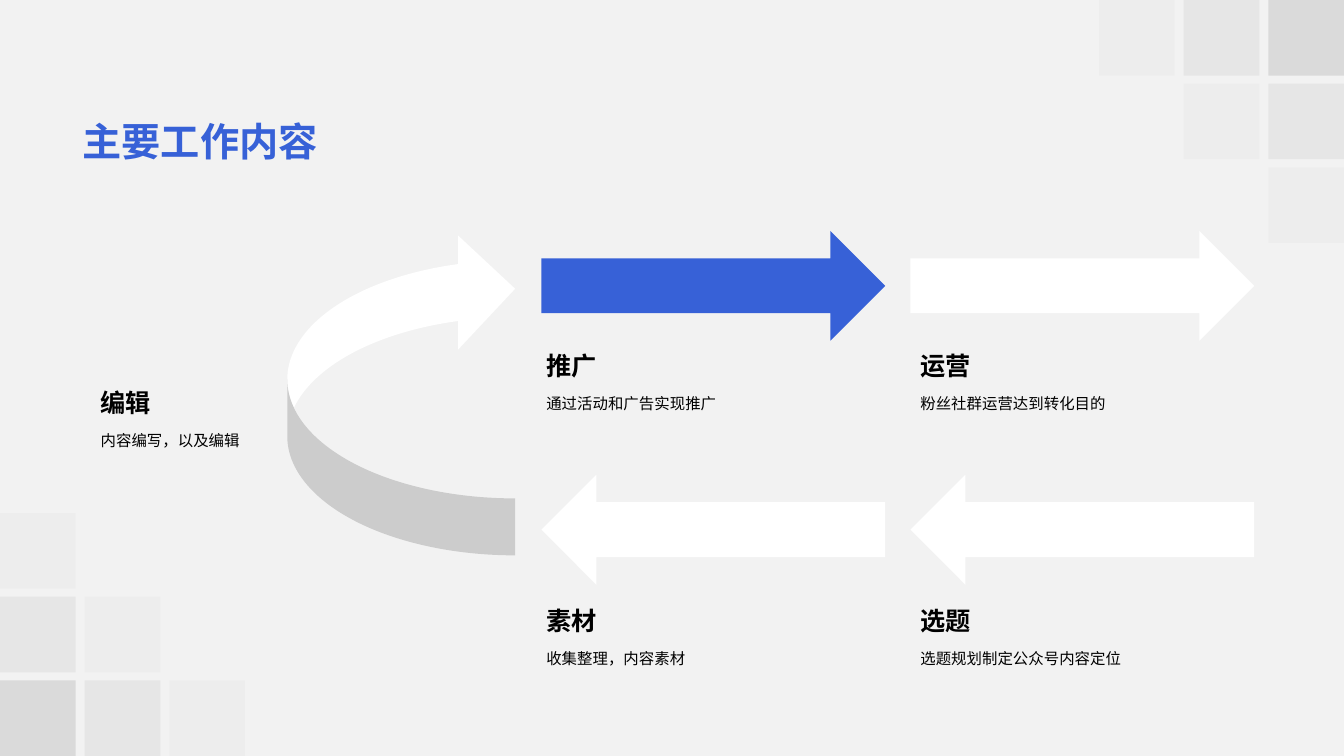
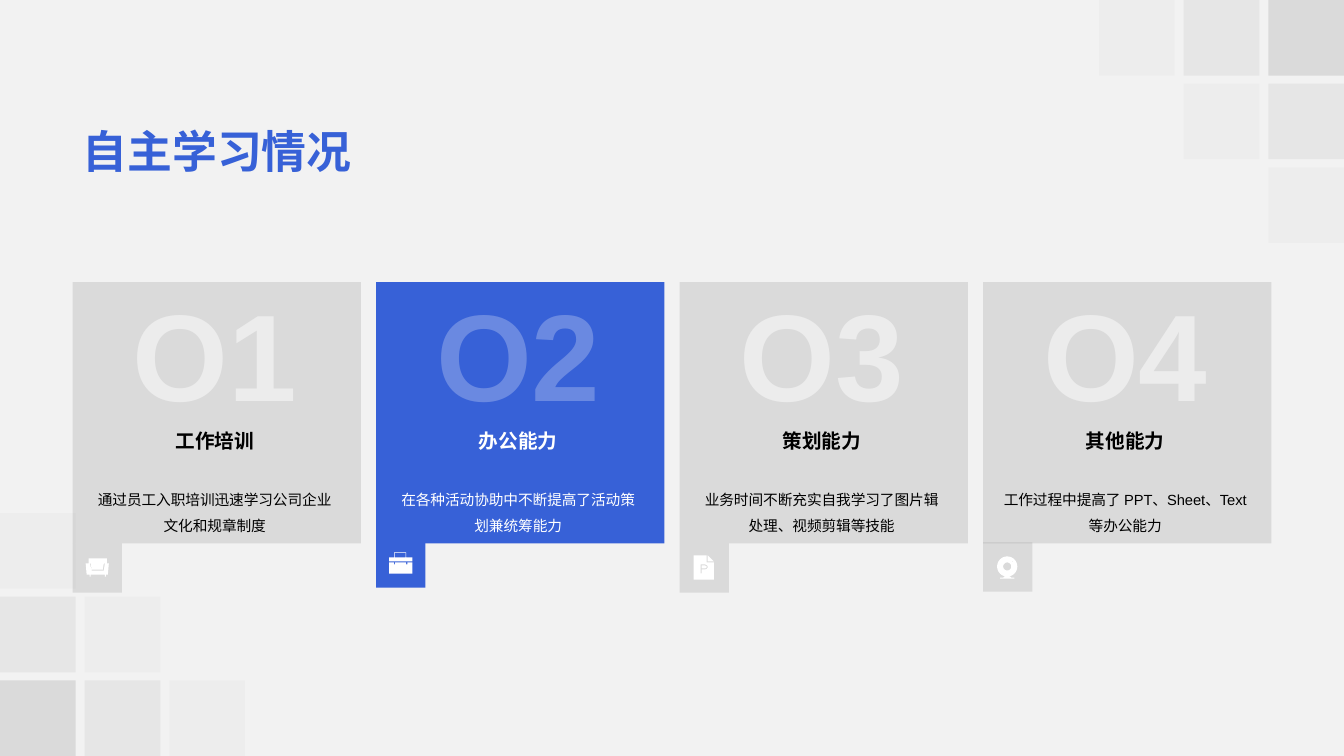
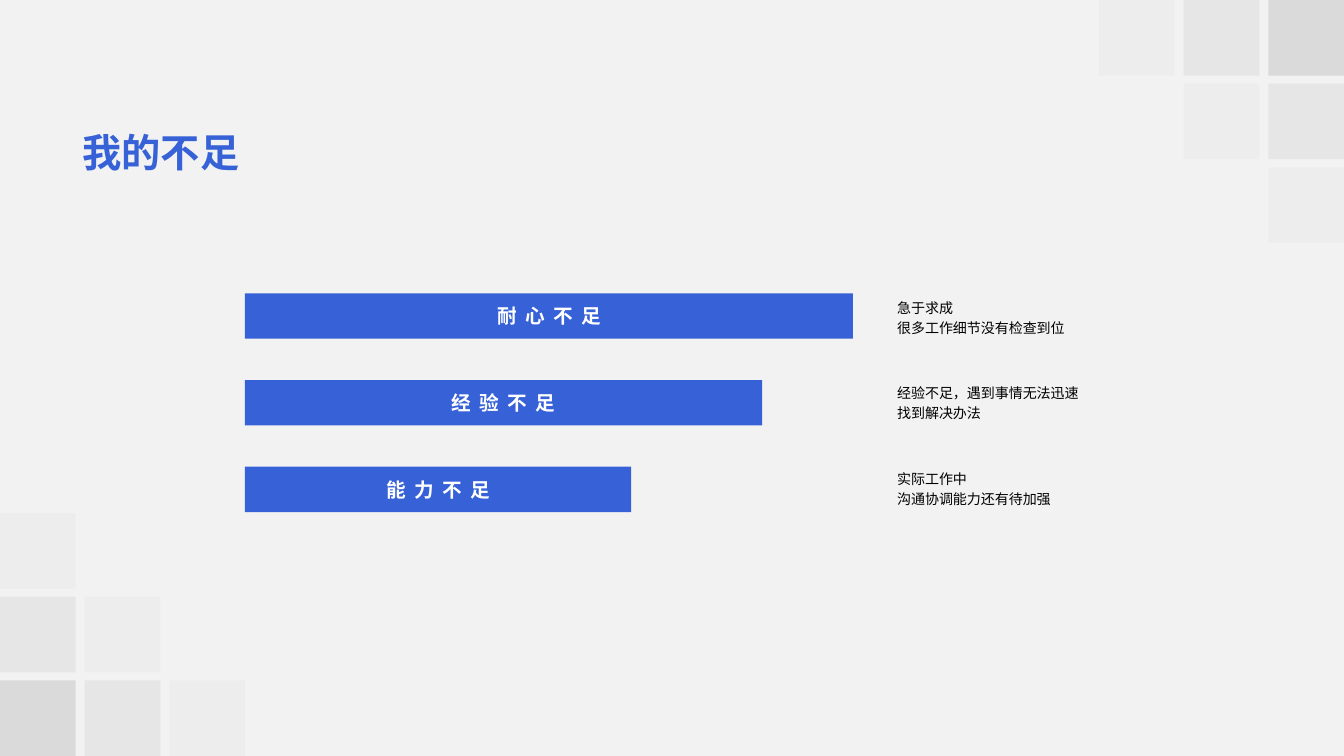
import math

from lxml import etree
from pptx import Presentation
from pptx.dml.color import RGBColor
from pptx.enum.shapes import MSO_SHAPE
from pptx.enum.text import MSO_ANCHOR, MSO_AUTO_SIZE, PP_ALIGN
from pptx.oxml.ns import qn
from pptx.util import Inches, Pt

RECTANGLE = MSO_SHAPE.RECTANGLE
RIGHT_ARROW, LEFT_ARROW = MSO_SHAPE.RIGHT_ARROW, MSO_SHAPE.LEFT_ARROW
CURVED_ARROW = MSO_SHAPE.CURVED_LEFT_ARROW
TOP, MIDDLE, BOTTOM = MSO_ANCHOR.TOP, MSO_ANCHOR.MIDDLE, MSO_ANCHOR.BOTTOM
LEFT, CENTER = PP_ALIGN.LEFT, PP_ALIGN.CENTER

FONT = "Arial"
COLORS = {"background": "F2F2F2", "blue": "3761D7", "white": "FFFFFF",
          "black": "000000", "shade": "0D0D0D"}


def circle(center_x, center_y, radius, points=40):
    angles = [2 * math.pi * index / points for index in range(points)]
    return [(center_x + radius * math.cos(angle), center_y + radius * math.sin(angle))
            for angle in angles]


# Icon outlines, in hundredths of an inch from the corner of their tab.
SOFA = [
    [(17, 20), (19, 27), (31, 27), (32, 20), (36, 20), (35, 31), (33, 31), (33, 33),
     (32, 33), (32, 31), (18, 31), (18, 33), (17, 33), (17, 31), (14, 31), (13, 20)],
    [(34, 15), (34, 20), (31, 20), (30, 26), (19, 26), (18, 20), (16, 20), (16, 15)],
]
BRIEFCASE = [
    [(18, 24), (18, 26), (19, 26), (19, 24), (30, 24), (30, 26), (31, 26), (31, 24),
     (36, 24), (36, 35), (13, 35), (13, 24)],
    [(30, 14), (30, 19), (36, 19), (36, 23), (13, 23), (13, 19), (18, 19), (18, 14)],
    [(29.5, 14.5), (18.5, 14.5), (18.5, 19), (29.5, 19)],
]
DOCUMENT = [
    [(27, 12), (27, 19), (34, 19), (34, 36), (14, 36), (14, 12)],
    [(25, 21), (21, 21), (21, 30), (22, 30), (22, 26), (25, 26), (27, 25.5),
     (28, 24), (28, 23), (27, 21.5)],
    [(25, 22), (26.5, 22.5), (27, 23.5), (26.5, 24.5), (25, 25), (22, 25), (22, 22)],
    [(34, 18), (28, 18), (28, 12)],
]
WEBCAM = [
    circle(24, 24, 10), circle(24, 24, 4), circle(29, 19, 0.5),
    [(21, 34), (27, 34), (28, 35), (31, 35), (31, 36), (17, 36), (17, 35), (20, 35)],
]

# Title, text size, top, height
TITLES = {
    "work": ("主要工作内容", 28, 1.11, 0.57),
    "study": ("自主学习情况", 32, 1.17, 0.64),
    "shortcomings": ("我的不足", 28, 1.24, 0.53),
}
# Arrow, colour, heading, description; each row has its arrow top and label top
WORK_COLUMNS = [(5.37, 5.32), (9.03, 9.03)]  # arrow left, label left
WORK_ROWS = [
    (RIGHT_ARROW, 2.29, 3.41, [("blue", "推广", "通过活动和广告实现推广"),
                               ("white", "运营", "粉丝社群运营达到转化目的")]),
    (LEFT_ARROW, 4.71, 5.94, [("white", "素材", "收集整理，内容素材"),
                              ("white", "选题", "选题规划制定公众号内容定位")]),
]
# Heading, description, icon, tab top, highlighted
STUDY_CARDS = [
    ("工作培训", "通过员工入职培训迅速学习公司企业文化和规章制度", SOFA, 5.39, False),
    ("办公能力", "在各种活动协助中不断提高了活动策划兼统筹能力", BRIEFCASE, 5.34, True),
    ("策划能力", "业务时间不断充实自我学习了图片辑处理、视频剪辑等技能", DOCUMENT, 5.39, False),
    ("其他能力", "工作过程中提高了 PPT、Sheet、Text 等办公能力", WEBCAM, 5.38, False),
]
# Name, bar width, explanation
SHORTCOMINGS = [
    ("耐心不足", 6.03, ["急于求成", "很多工作细节没有检查到位"]),
    ("经验不足", 5.13, ["经验不足，遇到事情无法迅速", "找到解决办法"]),
    ("能力不足", 3.83, ["实际工作中", "沟通协调能力还有待加强"]),
]


def set_alpha(element, percent):
    color = element.find(".//" + qn("a:srgbClr"))
    etree.SubElement(color, qn("a:alpha")).set("val", str(percent * 1000))


def paint(shape, color, alpha=None):
    """Give the shape a flat fill, with no outline and no shadow."""
    shape.shadow.inherit = False
    shape.fill.solid()
    shape.fill.fore_color.rgb = RGBColor.from_string(COLORS[color])
    shape.line.fill.background()
    if alpha:
        set_alpha(shape.element.spPr, alpha)


def add_shape(slide, kind, left, top, width, height, color, alpha=None):
    shape = slide.shapes.add_shape(kind, Inches(left), Inches(top),
                                   Inches(width), Inches(height))
    paint(shape, color, alpha)
    return shape


def write(shape, lines, size, color="black", bold=False, align=LEFT, anchor=TOP,
          spacing=1.0, alpha=None, tracking=None):
    frame = shape.text_frame
    frame.word_wrap = True
    frame.auto_size = MSO_AUTO_SIZE.NONE
    frame.vertical_anchor = anchor
    frame.text = "\n".join(lines)
    for paragraph in frame.paragraphs:
        paragraph.alignment = align
        paragraph.line_spacing = spacing
        font = paragraph.font
        font.name, font.size, font.bold = FONT, Pt(size), bold
        font.color.rgb = RGBColor.from_string(COLORS[color])
        if alpha:
            set_alpha(paragraph._p, alpha)
        if tracking:
            defaults = paragraph._p.find(".//" + qn("a:defRPr"))
            defaults.set("spc", str(tracking * 100))


def add_text(slide, left, top, width, height, lines, size, **style):
    box = slide.shapes.add_textbox(Inches(left), Inches(top), Inches(width), Inches(height))
    write(box, lines, size, **style)
    return box


def add_icon(slide, contours, left, top):
    def place(point):
        return Inches(left + point[0] / 100), Inches(top + point[1] / 100)

    builder = None
    for contour in contours:
        start, *others = map(place, contour)
        if builder is None:
            builder = slide.shapes.build_freeform(*start)
        else:
            builder.move_to(*start)
        builder.add_line_segments(others, close=True)
    paint(builder.convert_to_shape(), "white")


def add_corner_squares(slide, layout):
    """Draw the stepped squares in two corners and move them to the layout."""
    size, column_step, row_step = 0.75, 0.84, 0.83
    alphas = (10, 5, 2)
    for column in range(3):
        for row in range(3 - column):
            x, y = column * column_step, row * row_step
            for left, top in ((12.58 - x, y), (x, 6.75 - y)):
                square = add_shape(slide, RECTANGLE, left, top, size, size,
                                   "shade", alphas[column + row])
                layout.shapes.element.append(square.element)


def add_slide(presentation, layout, key):
    slide = presentation.slides.add_slide(layout)
    text, size, top, height = TITLES[key]
    title = slide.shapes.title
    title.left, title.top = Inches(0.72), Inches(top)
    title.width, title.height = Inches(11.88), Inches(height)
    write(title, [text], size, "blue", bold=True, anchor=MIDDLE)
    return slide


def add_label(slide, left, top, width, heading, description):
    add_text(slide, left, top, width, 0.41, [heading], 18, bold=True, anchor=BOTTOM)
    add_text(slide, left, top + 0.41, width, 0.3, [description], 11, spacing=1.2)


def fill_work(slide):
    turn = add_shape(slide, CURVED_ARROW, 2.85, 2.3, 2.26, 3.21, "white")
    for flip in ("flipH", "flipV"):
        turn.element.spPr.xfrm.set(flip, "1")
    add_label(slide, 0.9, 3.78, 1.95, "编辑", "内容编写，以及编辑")
    for kind, arrow_top, label_top, steps in WORK_ROWS:
        for (arrow_left, label_left), (color, heading, description) in zip(WORK_COLUMNS, steps):
            add_shape(slide, kind, arrow_left, arrow_top, 3.41, 1.09, color)
            add_label(slide, label_left, label_top, 3.18, heading, description)


def fill_study(slide):
    for index, (heading, description, icon, tab_top, highlighted) in enumerate(STUDY_CARDS):
        left = 0.72 + index * 3.01
        fill = ("blue", None) if highlighted else ("shade", 10)
        color = "white" if highlighted else "black"
        add_shape(slide, RECTANGLE, left, 2.8, 2.86, 2.59, *fill)
        add_shape(slide, RECTANGLE, left, tab_top, 0.49, 0.49, *fill)
        add_icon(slide, icon, left, tab_top)
        add_text(slide, left + 0.38, 2.71, 2.06, 1.58, [f"O{index + 1}"], 88, color="white",
                 bold=True, align=CENTER, alpha=25 if highlighted else 50)
        add_text(slide, left + 0.36, 4.2, 2.1, 0.34, [heading], 14, color=color,
                 bold=True, align=CENTER, anchor=BOTTOM)
        add_text(slide, left + 0.1, 4.73, 2.62, 0.6, [description], 10.5, color=color,
                 align=CENTER, spacing=1.5)


def fill_shortcomings(slide):
    for index, (name, width, explanation) in enumerate(SHORTCOMINGS):
        bar = add_shape(slide, RECTANGLE, 2.43, 2.91 + index * 0.86, width, 0.45, "blue")
        write(bar, [name], 14, "white", bold=True, align=CENTER, anchor=MIDDLE, tracking=6)
        add_text(slide, 8.8, 2.9 + index * 0.85, 2.34, 0.47, explanation, 10,
                 anchor=MIDDLE, spacing=1.2)


def main():
    presentation = Presentation()
    presentation.slide_width, presentation.slide_height = Inches(13.33), Inches(7.5)
    background = presentation.slide_master.background.fill
    background.solid()
    background.fore_color.rgb = RGBColor.from_string(COLORS["background"])

    layout = presentation.slide_layouts.get_by_name("Title Only")
    work = add_slide(presentation, layout, "work")
    add_corner_squares(work, layout)
    fill_work(work)
    fill_study(add_slide(presentation, layout, "study"))
    fill_shortcomings(add_slide(presentation, layout, "shortcomings"))
    presentation.save("out.pptx")


if __name__ == "__main__":
    main()
